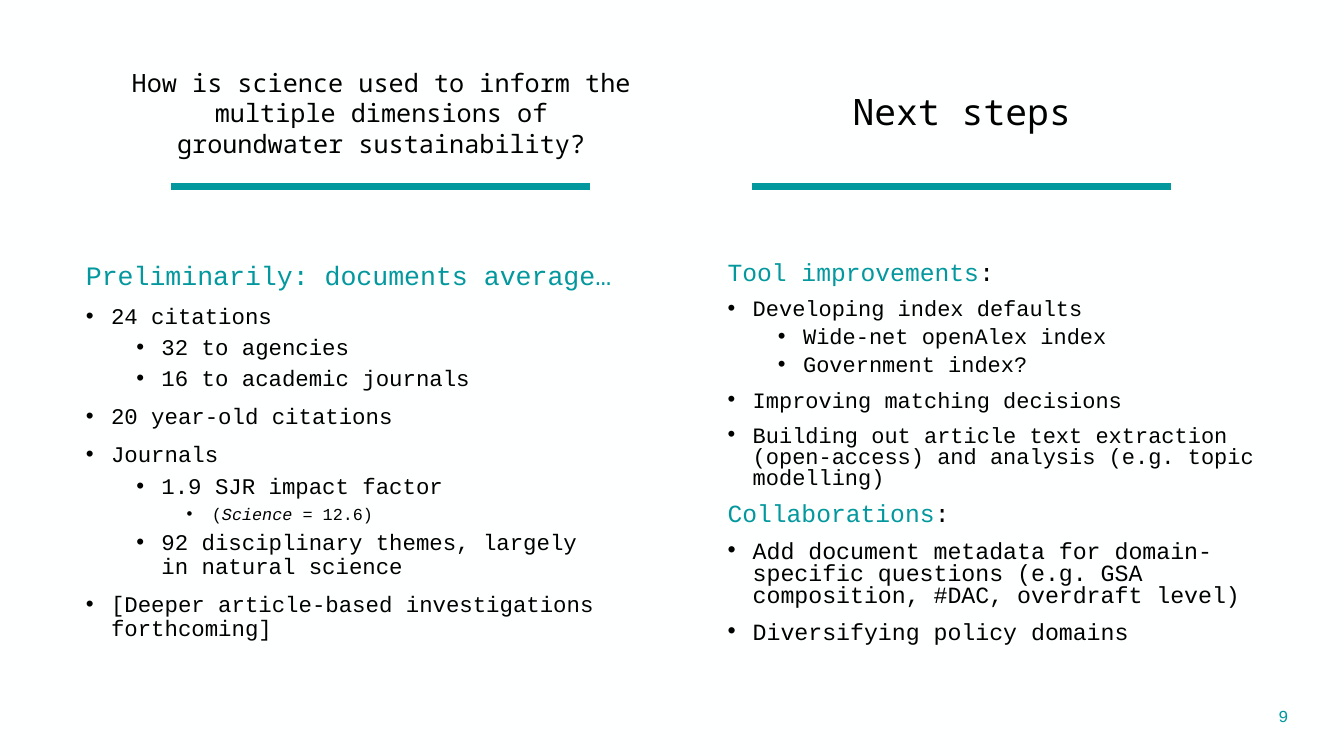
import lxml.etree
import pptx
import pptx.dml.color
import pptx.enum.shapes
import pptx.enum.text
import pptx.oxml.ns
import pptx.util

Cm = pptx.util.Cm
Pt = pptx.util.Pt
TEAL = pptx.dml.color.RGBColor(0x03, 0x98, 0x9E)
BLACK = pptx.dml.color.RGBColor(0x00, 0x00, 0x00)
PAPER = pptx.dml.color.RGBColor(0xFE, 0xFF, 0xFF)
ALIGN = pptx.enum.text.PP_ALIGN
ANCHOR = pptx.enum.text.MSO_ANCHOR
HEADING = -1

FINDINGS = [
    (HEADING, 19, "Preliminarily: documents average…", ""),
    (0, 16, "24 citations"),
    (1, 16, "32 to agencies"),
    (1, 16, "16 to academic journals"),
    (0, 16, "20 year-old citations"),
    (0, 16, "Journals"),
    (1, 16, "1.9 SJR impact factor"),
    (2, 12, "(", "Science", " = 12.6)"),
    (1, 16, "92 disciplinary themes, largely in natural science"),
    (0, 16, "[Deeper article-based investigations forthcoming]"),
]
NEXT_STEPS = [
    (HEADING, 17.6, "Tool improvements", ":"),
    (0, 15.7, "Developing index defaults"),
    (1, 15.7, "Wide-net openAlex index"),
    (1, 15.7, "Government index?"),
    (0, 15.7, "Improving matching decisions"),
    (0, 15.7, "Building out article text extraction (open-access) and analysis (e.g. topic modelling)"),
    (HEADING, 17.6, "Collaborations", ":"),
    (0, 16.6, "Add document metadata for domain-specific questions (e.g. GSA composition, #DAC, overdraft level)"),
    (0, 16.6, "Diversifying policy domains"),
]


class SlideBuilder:
    title_font = "Noto Sans Mono"
    body_font = "Courier New"

    def __init__(self, slide):
        self.slide = slide
        slide.background.fill.solid()
        slide.background.fill.fore_color.rgb = PAPER

    def place(self, shape, left, top, width, height):
        shape.left, shape.top = Cm(left), Cm(top)
        shape.width, shape.height = Cm(width), Cm(height)
        shape.text_frame.word_wrap = True
        shape.text_frame.auto_size = pptx.enum.text.MSO_AUTO_SIZE.NONE

    def format_run(self, run, font, size, color):
        run.font.name = font
        run.font.size = Pt(size)
        run.font.color.rgb = color

    def write_line(self, shape, text, font, size, color, align, anchor, spacing=1.0):
        frame = shape.text_frame
        frame.text = text
        frame.vertical_anchor = anchor
        paragraph = frame.paragraphs[0]
        paragraph.alignment = align
        paragraph.line_spacing = spacing
        self.format_run(paragraph.runs[0], font, size, color)

    def title(self, text, *box):
        shape = self.slide.shapes.title
        self.place(shape, *box)
        self.write_line(shape, text, self.title_font, 26, BLACK, ALIGN.CENTER, ANCHOR.MIDDLE, 0.9)

    def question(self, text, *box):
        shape = self.slide.shapes.add_textbox(0, 0, 0, 0)
        self.place(shape, *box)
        frame = shape.text_frame
        frame.margin_left = frame.margin_right = Cm(0.51)
        frame.margin_top = frame.margin_bottom = Cm(0.51)
        self.write_line(shape, text, self.title_font, 18, BLACK, ALIGN.CENTER, ANCHOR.TOP)

    def page_number(self, text, *box):
        shape = self.slide.shapes.add_textbox(0, 0, 0, 0)
        self.place(shape, *box)
        self.write_line(shape, text, self.body_font, 12, TEAL, ALIGN.RIGHT, ANCHOR.MIDDLE)

    def rule(self, left, top, width):
        connector = self.slide.shapes.add_connector(
            pptx.enum.shapes.MSO_CONNECTOR.STRAIGHT, Cm(left), Cm(top), Cm(left + width), Cm(top))
        connector.line.color.rgb = TEAL
        connector.line.width = Pt(4.5)
        properties = connector._element.spPr
        lxml.etree.SubElement(properties, pptx.oxml.ns.qn("a:effectLst"))

    def bullet(self, paragraph, level):
        properties = paragraph._p.get_or_add_pPr()
        if level == HEADING:
            properties.set("marL", "0")
            properties.set("indent", "0")
            lxml.etree.SubElement(properties, pptx.oxml.ns.qn("a:buNone"))
            return
        paragraph.level = level
        properties.set("marL", str(Cm(0.635 + 1.27 * level)))
        properties.set("indent", str(-Cm(0.635)))
        typeface = lxml.etree.SubElement(properties, pptx.oxml.ns.qn("a:buFont"))
        typeface.set("typeface", "Arial")
        mark = lxml.etree.SubElement(properties, pptx.oxml.ns.qn("a:buChar"))
        mark.set("char", "•")

    def outline(self, index, items, spacing, *box):
        shape = self.slide.placeholders[index]
        self.place(shape, *box)
        frame = shape.text_frame
        frame.vertical_anchor = ANCHOR.TOP
        for number, (level, size, *pieces) in enumerate(items):
            paragraph = frame.paragraphs[0] if number == 0 else frame.add_paragraph()
            self.bullet(paragraph, level)
            paragraph.alignment = ALIGN.LEFT
            paragraph.line_spacing = spacing
            paragraph.space_after = Pt(0)
            paragraph.space_before = Pt(0 if number == 0 else 5 if level > 0 else 10)
            for position, piece in enumerate(filter(None, pieces)):
                run = paragraph.add_run()
                run.text = piece
                color = TEAL if level == HEADING and position == 0 else BLACK
                self.format_run(run, self.body_font, size, color)
                run.font.italic = level == 2 and position == 1


def main():
    presentation = pptx.Presentation()
    presentation.slide_width = Cm(33.87)
    presentation.slide_height = Cm(19.05)
    builder = SlideBuilder(presentation.slides.add_slide(presentation.slide_layouts[3]))
    builder.title("Next steps", 16.94, 1.02, 14.6, 3.68)
    builder.question(
        "How is science used to inform the multiple dimensions of groundwater sustainability?",
        2.67, 1.19, 13.87, 3.33)
    for left in (4.32, 18.95):
        builder.rule(left, 4.7, 10.56)
    builder.outline(1, FINDINGS, 0.9, 1.91, 6.48, 13.87, 11.15)
    builder.outline(2, NEXT_STEPS, 0.8, 18.08, 6.48, 13.87, 10.16)
    builder.page_number("9", 25.1, 17.53, 7.62, 1.02)
    presentation.save("out.pptx")


if __name__ == "__main__":
    main()
